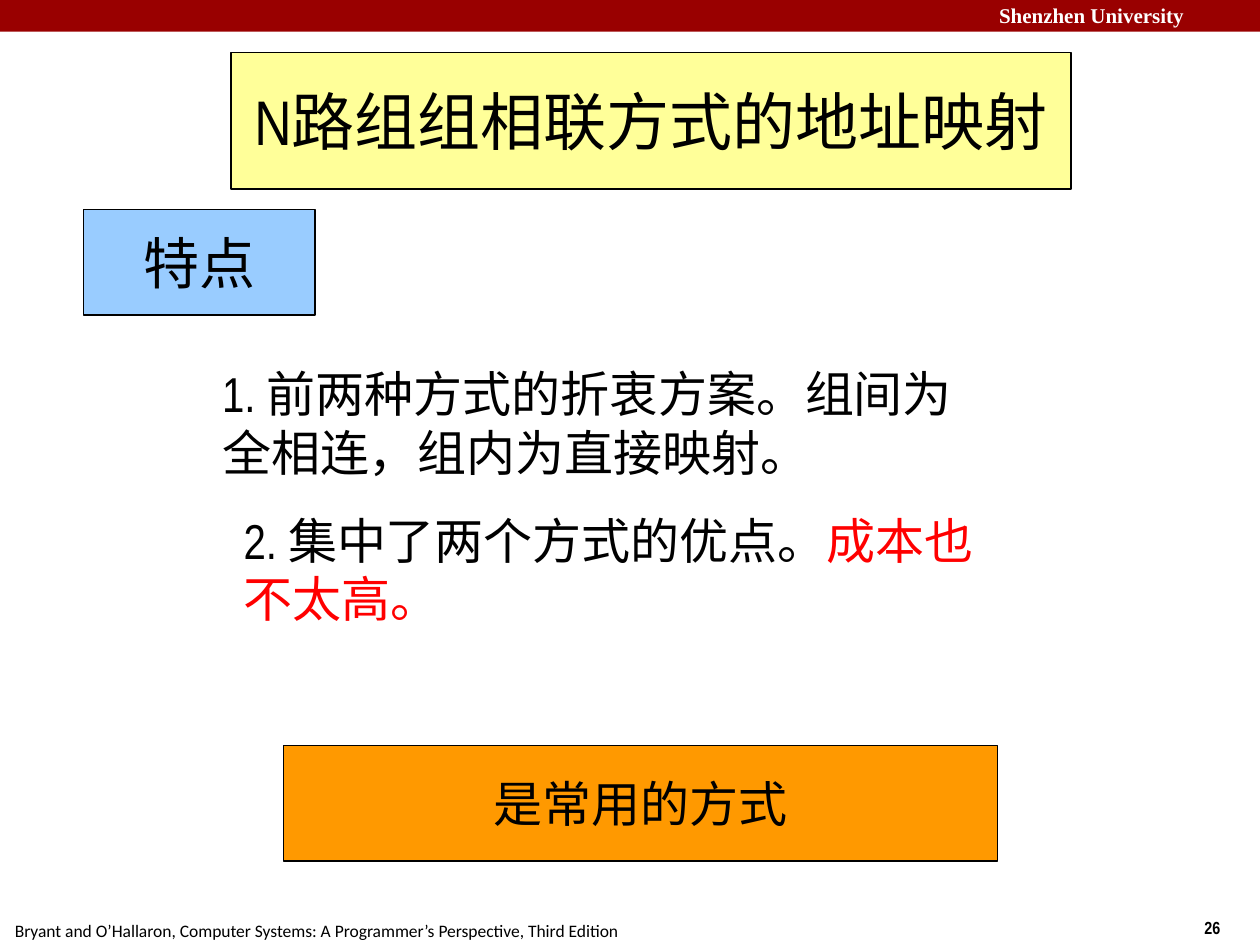
from dataclasses import dataclass

from pptx import Presentation
from pptx.dml.color import RGBColor
from pptx.enum.shapes import MSO_SHAPE
from pptx.enum.text import MSO_ANCHOR, PP_ALIGN
from pptx.util import Cm, Pt


@dataclass(frozen=True)
class Theme:
    black: RGBColor = RGBColor(0x00, 0x00, 0x00)
    white: RGBColor = RGBColor(0xFF, 0xFF, 0xFF)
    red: RGBColor = RGBColor(0xFF, 0x00, 0x00)
    banner: RGBColor = RGBColor(0x99, 0x00, 0x00)
    yellow: RGBColor = RGBColor(0xFF, 0xFF, 0x99)
    blue: RGBColor = RGBColor(0x99, 0xCC, 0xFF)
    orange: RGBColor = RGBColor(0xFF, 0x99, 0x00)
    body_font: str = "Arial Narrow"
    title: Pt = Pt(36)
    heading: Pt = Pt(32)
    body: Pt = Pt(28)
    header: Pt = Pt(12)
    footer: Pt = Pt(10)


theme = Theme()


def add_rectangle(page, bounds, fill):
    box = page.shapes.add_shape(MSO_SHAPE.RECTANGLE, *map(Cm, bounds))
    box.shadow.inherit = False
    box.fill.solid()
    box.fill.fore_color.rgb = fill
    return box


def write(box, text, size, color=theme.black, font=theme.body_font, bold=False):
    box.text_frame.word_wrap = True
    para = box.text_frame.paragraphs[0]
    para.add_run().text = text
    para.font.size = size
    para.font.name = font
    para.font.bold = bold
    para.font.color.rgb = color
    return para


deck = Presentation()
deck.slide_width, deck.slide_height = Cm(25.4), Cm(19.05)
page = deck.slides.add_slide(deck.slide_layouts[6])

banner = add_rectangle(page, (0, 0, 25.4, 0.64), theme.banner)
banner.line.fill.background()

header = page.shapes.add_textbox(Cm(19.89), Cm(-0.08), Cm(5.69), Cm(0.76))
write(header, "Shenzhen University", theme.header, theme.white, "Times New Roman", True)

number = page.shapes.add_textbox(Cm(24.03), Cm(18.36), Cm(1.9), Cm(0.69))
write(number, "26", theme.footer, bold=True)

footer = page.shapes.add_textbox(Cm(0.05), Cm(18.42), Cm(12.73), Cm(0.69))
citation = "Bryant and O’Hallaron, Computer Systems: A Programmer’s Perspective, Third Edition"
write(footer, citation, theme.footer, font="Calibri")
footer.text_frame.word_wrap = False

panels = [
    ("N路组组相联方式的地址映射", (4.66, 1.06, 16.93, 2.75), theme.yellow, theme.title),
    ("特点", (1.69, 4.23, 4.66, 2.12), theme.blue, theme.heading),
    ("是常用的方式", (5.72, 15.03, 14.39, 2.33), theme.orange, theme.body),
]
for text, bounds, fill, size in panels:
    panel = add_rectangle(page, bounds, fill)
    panel.line.color.rgb = theme.black
    panel.line.width = Pt(0.75)
    panel.text_frame.vertical_anchor = MSO_ANCHOR.MIDDLE
    write(panel, text, size).alignment = PP_ALIGN.CENTER

points = [
    ("1. 前两种方式的折衷方案。组间为全相连，组内为直接映射。", "", (4.23, 7.2, 16.09, 2.64)),
    ("2. 集中了两个方式的优点。", "成本也不太高。", (4.66, 10.16, 15.88, 2.64)),
]
for text, emphasis, bounds in points:
    point = page.shapes.add_textbox(*map(Cm, bounds))
    para = write(point, text, theme.body)
    if emphasis:
        span = para.add_run()
        span.text = emphasis
        span.font.color.rgb = theme.red

deck.save("out.pptx")
